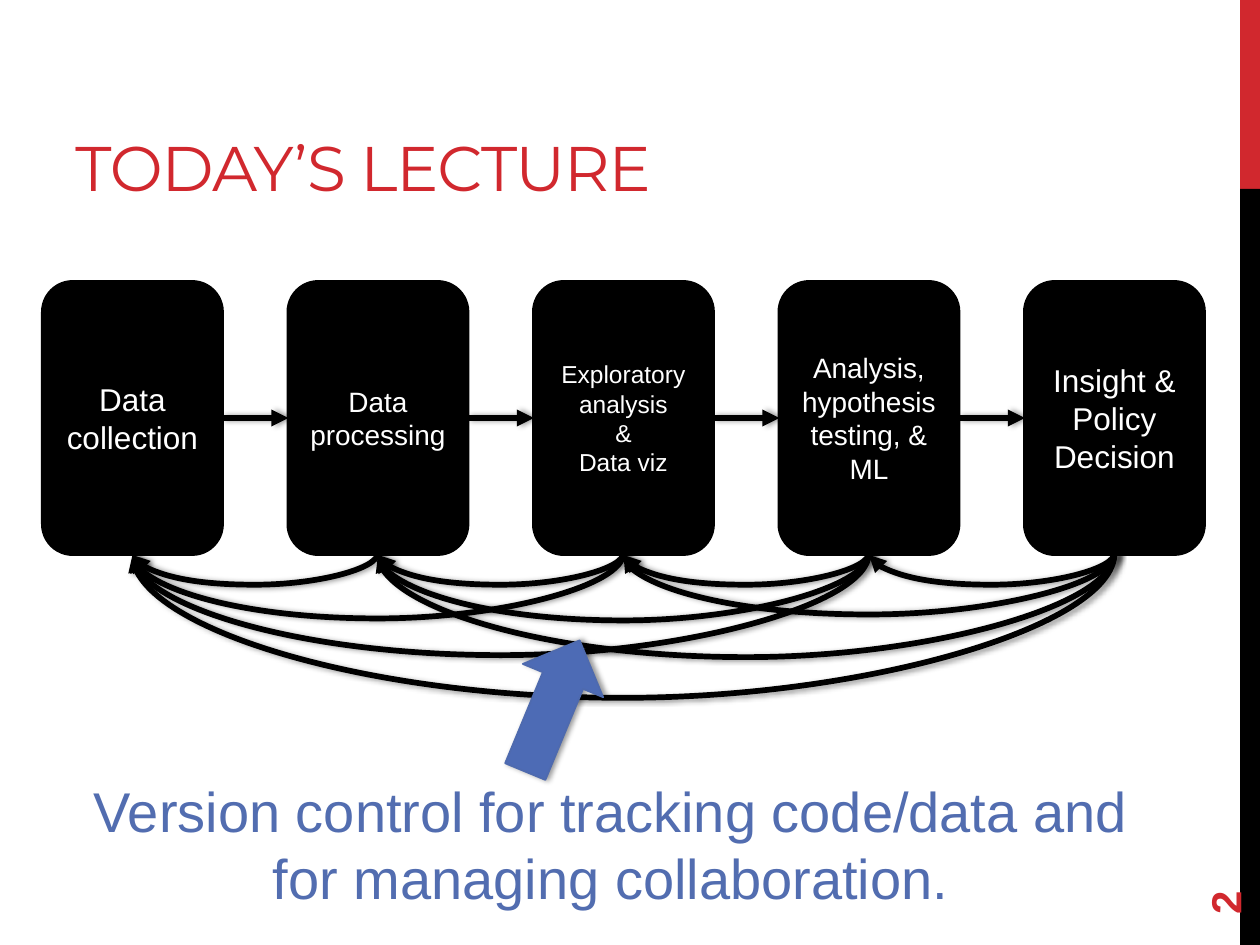
from itertools import combinations

from lxml.etree import SubElement
from pptx import Presentation
from pptx.dml.color import RGBColor
from pptx.enum.shapes import MSO_CONNECTOR as CONNECTOR, MSO_SHAPE as SHAPE
from pptx.enum.text import MSO_ANCHOR as ANCHOR, PP_ALIGN as ALIGN
from pptx.oxml.ns import qn
from pptx.util import Emu, Pt

RED = RGBColor(0xD1, 0x28, 0x2E)
BLACK = RGBColor(0, 0, 0)
WHITE = RGBColor(255, 255, 255)
BLUE_TEXT = RGBColor(0x52, 0x6D, 0xB0)
BLUE_FILL = RGBColor(0x4D, 0x6B, 0xB5)
BLUE_LINE = RGBColor(0x4E, 0x6A, 0xAE)

STEPS = [
    (["Data collection"], 18),
    (["Data processing"], 16),
    (["Exploratory analysis", "&", "Data viz"], 14),
    (["Analysis, hypothesis testing, & ML"], 16),
    (["Insight & Policy Decision"], 18),
]
STEP_WIDTH = 179
ARC_DROP = 2
ARC_DEPTHS = {
    (0, 1): 32, (1, 2): 32, (2, 3): 32, (3, 4): 32,
    (0, 2): 66, (1, 3): 68, (2, 4): 62,
    (0, 3): 103, (1, 4): 105, (0, 4): 146,
}


def px(length):
    """Turn pixels into EMU."""
    return Emu(round(length * 914400 / 126))


def add_shadow(shape):
    """Give a shape or connector a soft shadow to its right."""
    effects = SubElement(shape._element.spPr, qn("a:effectLst"))
    shadow = SubElement(effects, qn("a:outerShdw"), blurRad="40000",
                        dist="23000", dir="0", rotWithShape="0")
    color = SubElement(shadow, qn("a:srgbClr"), val=str(BLACK))
    SubElement(color, qn("a:alpha"), val="40000")


def write(shape, lines, size, color, font="Arial", bold=False,
          align=ALIGN.CENTER, anchor=ANCHOR.MIDDLE):
    """Fill a shape with one paragraph per line and return the last run."""
    frame = shape.text_frame
    frame.word_wrap = True
    frame.vertical_anchor = anchor
    for index, line in enumerate(lines):
        paragraph = frame.add_paragraph() if index else frame.paragraphs[0]
        paragraph.alignment = align
        run = paragraph.add_run()
        run.text = line
        run.font.name = font
        run.font.size = Pt(size)
        run.font.bold = bold
        run.font.color.rgb = color
    return run


def add_block(slide, kind, box, fill, line=None, line_width=1):
    """Add a filled preset shape without a shadow."""
    shape = slide.shapes.add_shape(kind, *map(px, box))
    shape.shadow.inherit = False
    shape.fill.solid()
    shape.fill.fore_color.rgb = fill
    if line is None:
        shape.line.fill.background()
    else:
        shape.line.color.rgb = line
        shape.line.width = Pt(line_width)
    return shape


def add_arrow(slide, kind, start, end):
    """Add a black connector with an arrowhead at its end."""
    arrow = slide.shapes.add_connector(kind, *map(px, start + end))
    arrow.line.color.rgb = BLACK
    arrow.line.width = Pt(3.25)
    SubElement(arrow.line._get_or_add_ln(), qn("a:tailEnd"), type="triangle")
    add_shadow(arrow)
    return arrow


def add_arc(slide, source, target, top, depth):
    """Add a curved arrow hanging below top from source back to target."""
    middle, half = (source + target) / 2, (source - target) / 2
    center = top + ARC_DROP / 2
    arc = add_arrow(slide, CONNECTOR.CURVE,
                    (middle - ARC_DROP / 2, center - half),
                    (middle + ARC_DROP / 2, center + half))
    properties = arc._element.spPr
    properties.find(qn("a:xfrm")).set("rot", "5400000")
    geometry = properties.find(qn("a:prstGeom"))
    adjustments = geometry.find(qn("a:avLst"))
    if adjustments is None:
        adjustments = SubElement(geometry, qn("a:avLst"))
    SubElement(adjustments, qn("a:gd"), name="adj1",
               fmla=f"val {depth * 100000 // ARC_DROP}")


def add_side_bar(slide, left, top, width, height):
    """Draw the two-colour bar and the turned slide number beside it."""
    split = height // 5
    add_block(slide, SHAPE.RECTANGLE, (left, top, width, split), RED)
    add_block(slide, SHAPE.RECTANGLE,
              (left, top + split, width, height - split), BLACK)
    number = slide.shapes.add_textbox(
        px(left - 106), px(top + height - 134), px(181), px(50))
    number.rotation = 270
    write(number, ["2"], 24, RED, bold=True, align=ALIGN.LEFT)


def add_title(slide, left, top, width, height):
    """Write the slide title at the bottom of its box."""
    title = slide.shapes.add_textbox(*map(px, (left, top, width, height)))
    run = write(title, ["TODAY’S LECTURE"], 36, RED, font="Montserrat",
                align=ALIGN.LEFT, anchor=ANCHOR.BOTTOM)
    run.font._element.set("spc", "-60")


def add_pipeline(slide, left, top, width, height):
    """Draw the steps, the arrows between them and the arcs leading back."""
    pitch = (width - STEP_WIDTH) / (len(STEPS) - 1)
    lefts = [left + index * pitch for index in range(len(STEPS))]
    middle = top + height / 2
    for step_left, (lines, size) in zip(lefts, STEPS):
        step = add_block(slide, SHAPE.ROUNDED_RECTANGLE,
                         (step_left, top, STEP_WIDTH, height), BLACK, BLACK, 2.25)
        write(step, lines, size, WHITE)
    for before, after in zip(lefts, lefts[1:]):
        add_arrow(slide, CONNECTOR.STRAIGHT,
                  (before + STEP_WIDTH, middle), (after, middle))
    centers = [step_left + STEP_WIDTH / 2 for step_left in lefts]
    for target, source in combinations(range(len(STEPS)), 2):
        add_arc(slide, centers[source], centers[target],
                top + height - 1, ARC_DEPTHS[target, source])


def add_callout(slide, left, top, width, height):
    """Write the closing remark under an arrow pointing at the arcs."""
    arrow_height = 142
    caption = slide.shapes.add_textbox(
        px(left), px(top + 135), px(width), px(height - 135))
    write(caption,
          ["Version control for tracking code/data and for managing collaboration."],
          32, BLUE_TEXT, anchor=ANCHOR.TOP)
    arrow = slide.shapes.add_shape(
        SHAPE.UP_ARROW, px(left + 443), px(top), px(87), px(arrow_height))
    arrow.rotation = 22.5
    arrow.fill.solid()
    arrow.fill.fore_color.rgb = BLUE_FILL
    arrow.line.color.rgb = BLUE_LINE
    arrow.line.width = Pt(1)
    add_shadow(arrow)


def main():
    """Build the slide and save it."""
    presentation = Presentation()
    presentation.slide_width = px(1260)
    presentation.slide_height = px(945)
    slide = presentation.slides.add_slide(presentation.slide_layouts[6])
    add_side_bar(slide, 1240, 0, 20, 945)
    add_title(slide, 63, 21, 798, 189)
    add_pipeline(slide, 43, 282, 1161, 272)
    add_callout(slide, 66, 635, 1090, 284)
    presentation.save("out.pptx")


if __name__ == "__main__":
    main()
